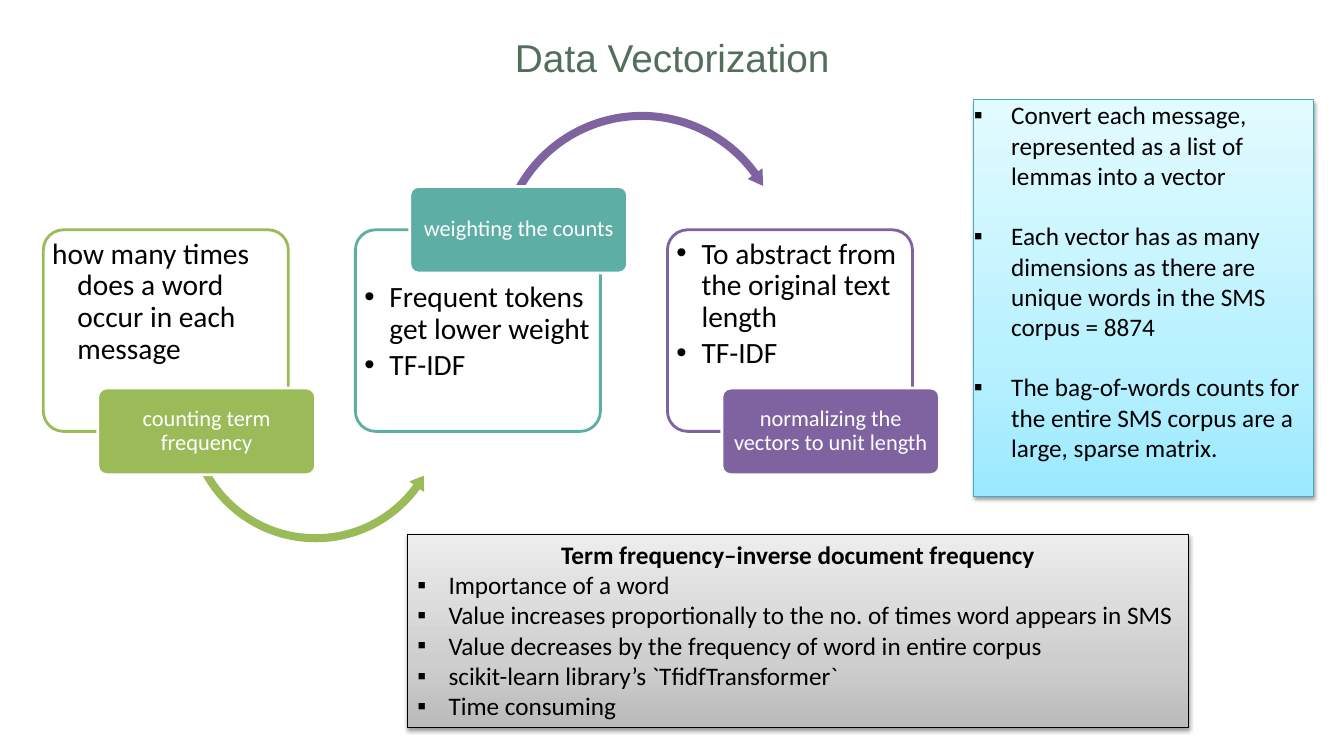
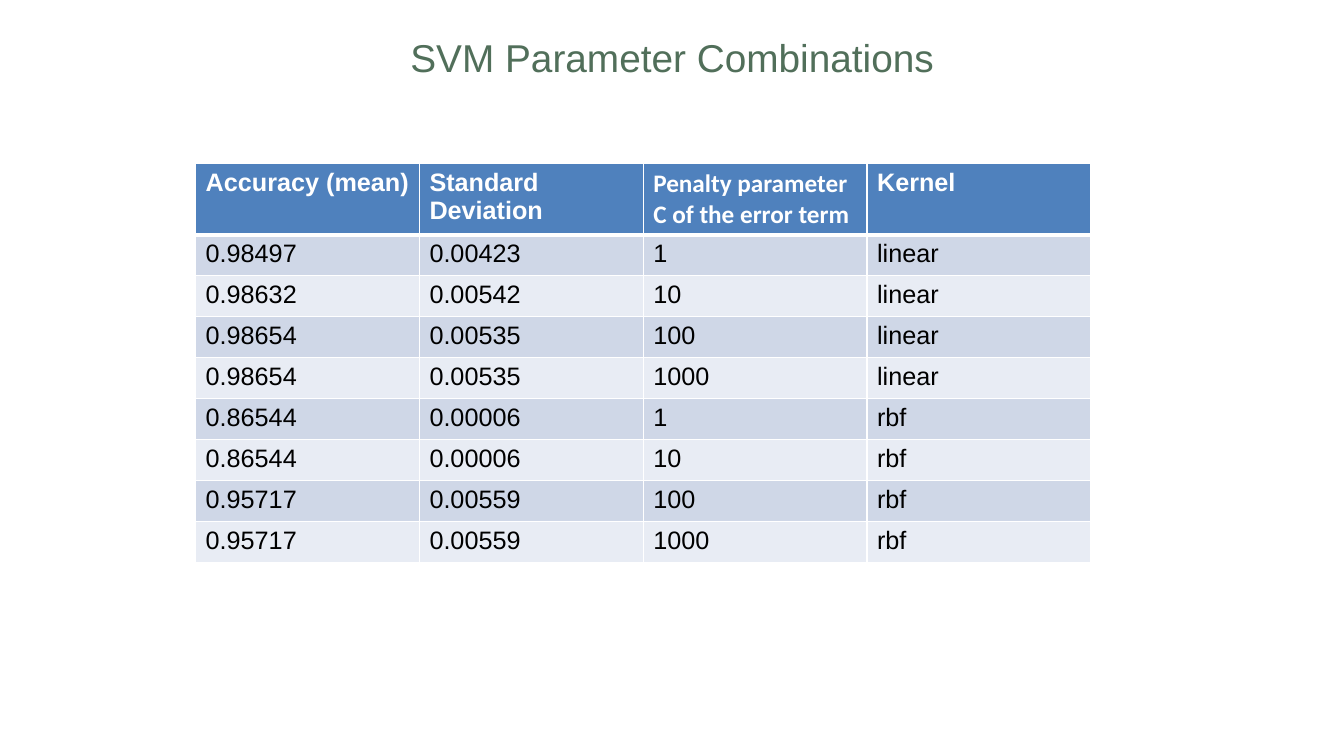
from dataclasses import dataclass
from math import atan, cos, hypot, radians, sin, tan

from pptx import Presentation
from pptx import oxml, util as u
from pptx.dml.color import RGBColor
from pptx.enum import shapes, text
from pptx.oxml import ns

Inches, Pt = u.Inches, u.Pt


@dataclass(frozen=True)
class Theme:
    heading_font: str = "Arial"
    body_font: str = "Calibri"
    title_size: float = 27.7
    panel_size: float = 21
    body_size: float = 18
    tag_size: float = 16
    title: str = "516F5A"
    ink: str = "000000"
    paper: str = "FFFFFF"
    green: str = "9BBB59"
    teal: str = "5DAEA5"
    purple: str = "7F63A1"
    blue_edge: str = "45A9C4"
    blue_stops: tuple = ((0, "9BE9FF"), (35, "B8F1FF"), (100, "E2FBFF"))
    gray_stops: tuple = ((0, "BABABA"), (35, "CFCFCF"), (100, "EDEDED"))
    header: str = "4F81BD"
    bands: tuple = ("CFD7E7", "E8ECF4")


THEME = Theme()
TITLE_BOX = (3.38, 0.33, 6.58, 0.47)


def rgb(color):
    return RGBColor.from_string(color)


def xml(markup):
    head, tail = markup.split(" ", 1)
    return oxml.parse_xml(f"{head} {ns.nsdecls('a')} {tail}")


# Shared text and shape formatting
def write_text(frame, lines, size, font=THEME.body_font, color=THEME.ink,
               bold=False, align=text.PP_ALIGN.LEFT, anchor=text.MSO_ANCHOR.TOP,
               insets=(0, 0, 0, 0), bullet=None, hang=0, line=1, gap=0, more=False):
    """Fill a text frame; with more=True the lines follow the ones already there."""
    frame.word_wrap = True
    frame.auto_size = text.MSO_AUTO_SIZE.NONE
    frame.vertical_anchor = anchor
    (frame.margin_left, frame.margin_top,
     frame.margin_right, frame.margin_bottom) = map(Inches, insets)
    for index, content in enumerate(lines):
        first = index == 0 and not more
        paragraph = frame.paragraphs[0] if first else frame.add_paragraph()
        paragraph.alignment = align
        paragraph.line_spacing = line
        paragraph.space_before = Pt(gap if index else 0)
        run = paragraph.add_run()
        run.text = content
        run.font.size, run.font.name, run.font.bold = Pt(size), font, bold
        run.font.color.rgb = rgb(color)
        properties = paragraph._p.get_or_add_pPr()
        if hang:
            properties.set("marL", str(Inches(hang)))
            properties.set("indent", str(-Inches(hang)))
        if bullet:
            properties.append(xml('<a:buFont typeface="Arial"/>'))
            properties.append(xml(f'<a:buChar char="{bullet}"/>'))


def paint(shape, fill, edge=None, width=0):
    shape.shadow.inherit = False
    shape.fill.solid()
    shape.fill.fore_color.rgb = rgb(fill)
    if edge:
        shape.line.color.rgb = rgb(edge)
        shape.line.width = Pt(width)
    else:
        shape.line.fill.background()


def add_box(slide, box, kind, fill, edge, width):
    shape = slide.shapes.add_shape(kind, *map(Inches, box))
    paint(shape, fill, edge, width)
    if kind == shapes.MSO_SHAPE.ROUNDED_RECTANGLE:
        shape.adjustments[0] = 0.1
    return shape


def add_note(slide, box, stops, edge):
    """A gradient box with a soft shadow."""
    note = add_box(slide, box, shapes.MSO_SHAPE.RECTANGLE, THEME.paper, edge, 0.75)
    note.fill.gradient()
    note.fill.gradient_angle = 90
    properties = note._element.spPr
    stop_list = properties.find(".//" + ns.qn("a:gsLst"))
    for stop in list(stop_list):
        stop_list.remove(stop)
    for place, color in stops:
        stop_list.append(xml(f'<a:gs pos="{place * 1000}"><a:srgbClr val="{color}"/></a:gs>'))
    properties.find(ns.qn("a:effectLst")).append(xml(
        f'<a:outerShdw blurRad="{Pt(3.1)}" dist="{Pt(1.6)}" dir="5400000" rotWithShape="0">'
        f'<a:srgbClr val="{THEME.ink}"><a:alpha val="38000"/></a:srgbClr></a:outerShdw>'))
    return note.text_frame


def add_titled_slide(deck, title):
    slide = deck.slides.add_slide(deck.slide_layouts.get_by_name("Title Only"))
    heading = slide.shapes.title
    heading.left, heading.top, heading.width, heading.height = map(Inches, TITLE_BOX)
    write_text(heading.text_frame, [title], THEME.title_size, THEME.heading_font,
               THEME.title, align=text.PP_ALIGN.CENTER)
    return slide


# Process diagram
def add_curved_arrow(slide, center, radius, side, color):
    """Arc from left to right; side is 1 below the center and -1 above it."""
    start, neck, tip, band, barb = 151, 36, 30, 0.04, 0.09
    reach = radius + 0.1
    left, top = center[0] - reach, center[1] - reach
    right, bottom = center[0] + reach, center[1] + reach

    # The outline starts as its square frame, then gets lines and Bezier arcs
    builder = slide.shapes.build_freeform(Inches(left), Inches(top))
    builder.add_line_segments([(Inches(x), Inches(y)) for x, y in
                               ((right, top), (right, bottom), (left, bottom))])
    arrow = builder.convert_to_shape()
    outline = arrow._element.spPr.find(".//" + ns.qn("a:path"))
    for segment in list(outline):
        outline.remove(segment)

    def draw(command, *points):
        marks = ""
        for angle, distance in points:
            x = Inches(reach + distance * cos(radians(angle)))
            y = Inches(reach + side * distance * sin(radians(angle)))
            marks += f'<a:pt x="{x}" y="{y}"/>'
        outline.append(xml(f"<a:{command} >{marks}</a:{command}>"))

    def draw_arc(begin, end, distance):
        half = (end - begin) / 2
        pull = 4 / 3 * tan(radians(half) / 4)
        swing, far = atan(pull) * 180 / radians(180), distance * hypot(1, pull)
        for angle in (begin, begin + half):
            draw("cubicBezTo", (angle + swing, far), (angle + half - swing, far),
                 (angle + half, distance))

    draw("moveTo", (start, radius + band))
    draw("lnTo", (start, radius - band))
    draw_arc(start, neck, radius - band)
    for corner in ((neck, radius - barb), (tip, radius),
                   (neck, radius + barb), (neck, radius + band)):
        draw("lnTo", corner)
    draw_arc(neck, start, radius + band)
    draw("close")
    paint(arrow, color)


def add_stage(slide, box, stage):
    left, top, width, height = box
    rounded = shapes.MSO_SHAPE.ROUNDED_RECTANGLE
    panel = add_box(slide, box, rounded, THEME.paper, stage["color"], 2)
    write_text(panel.text_frame, stage["details"], THEME.panel_size,
               insets=(0.03, 0.46 if stage["tag_on_top"] else 0.03, 0.02, 0.02),
               bullet=stage["bullet"], hang=0.25, line=0.9, gap=3.1)
    if "arrow" in stage:
        x, y, radius, color = stage["arrow"]
        side = -1 if stage["tag_on_top"] else 1
        add_curved_arrow(slide, (left + x, top + y), radius, side, color)
    tag_top = top - 0.43 if stage["tag_on_top"] else top + height - 0.43
    tag = add_box(slide, (left + 0.54, tag_top, 2.16, 0.86), rounded,
                  stage["color"], THEME.paper, 2)
    write_text(tag.text_frame, [stage["name"]], THEME.tag_size, color=THEME.paper,
               align=text.PP_ALIGN.CENTER, anchor=text.MSO_ANCHOR.MIDDLE,
               insets=(0.03, 0.02, 0.03, 0.02), line=0.9)


def add_process(slide, box, stages):
    left, top, width, height = box
    panel_width = 2.43
    step = (width - panel_width) / (len(stages) - 1)
    for index, stage in enumerate(stages):
        add_stage(slide, (left + index * step, top, panel_width, height), stage)


def add_vector_notes(slide, box, points):
    frame = add_note(slide, box, THEME.blue_stops, THEME.blue_edge)
    write_text(frame, points, THEME.body_size, bullet="▪", hang=0.37, gap=21.5)


def add_definition(slide, box, term, points):
    frame = add_note(slide, box, THEME.gray_stops, THEME.ink)
    insets = (0.1, 0.05, 0.1, 0.05)
    write_text(frame, [term], THEME.body_size, bold=True,
               align=text.PP_ALIGN.CENTER, insets=insets)
    write_text(frame, points, THEME.body_size, bullet="▪", hang=0.31,
               insets=insets, more=True)


# Results table
def set_borders(cell, bottom):
    properties = cell._tc.get_or_add_tcPr()
    for index, (edge, width) in enumerate(zip("LRTB", (1, 1, 1, bottom))):
        properties.insert(index, xml(
            f'<a:ln{edge} w="{Pt(width)}"><a:solidFill>'
            f'<a:srgbClr val="{THEME.paper}"/></a:solidFill></a:ln{edge}>'))


def add_results(slide, box, headings, results):
    header_height = 0.7
    rows = [headings, *results]
    table = slide.shapes.add_table(len(rows), len(headings), *map(Inches, box)).table
    for number, values in enumerate(rows):
        is_header = number == 0
        table.rows[number].height = Inches(
            header_height if is_header else (box[3] - header_height) / len(results))
        for column, value in enumerate(values):
            cell = table.cell(number, column)
            cell.fill.solid()
            cell.fill.fore_color.rgb = rgb(
                THEME.header if is_header else THEME.bands[(number - 1) % 2])
            set_borders(cell, 3 if is_header else 1)
            cell.margin_left = cell.margin_right = Inches(0.1)
            cell.margin_top = cell.margin_bottom = Inches(0.05)
            run = cell.text_frame.paragraphs[0].add_run()
            run.text = value
            run.font.size, run.font.bold = Pt(THEME.body_size), is_header
            run.font.name = (THEME.body_font if value.startswith("Penalty")
                             else THEME.heading_font)
            run.font.color.rgb = rgb(THEME.paper if is_header else THEME.ink)


# Slides
def vectorization_slide(deck):
    slide = add_titled_slide(deck, "Data Vectorization")
    add_vector_notes(slide, (9.66, 0.99, 3.37, 3.94), [
        "Convert each message, represented as a list of lemmas into a vector",
        "Each vector has as many dimensions as there are unique words in the SMS corpus = 8874",
        "The bag-of-words counts for the entire SMS corpus are a large, sparse matrix.",
    ])
    add_process(slide, (0.43, 2.28, 8.62, 2), [
        dict(name="counting term frequency", color=THEME.green, tag_on_top=False,
             bullet=None, arrow=(2.7, 1.82, 1.24, THEME.green),
             details=["how many times does a word occur in each message"]),
        dict(name="weighting the counts", color=THEME.teal, tag_on_top=True,
             bullet="•", arrow=(2.84, 0.26, 1.39, THEME.purple),
             details=["Frequent tokens get lower weight", "TF-IDF"]),
        dict(name="normalizing the vectors to unit length", color=THEME.purple,
             tag_on_top=False, bullet="•",
             details=["To abstract from the original text length", "TF-IDF"]),
    ])
    add_definition(slide, (4.04, 5.3, 7.75, 1.92),
                   "Term frequency–inverse document frequency", [
        "Importance of a word",
        "Value increases proportionally to the no. of times word appears in SMS",
        "Value decreases by the frequency of word in entire corpus",
        "scikit-learn library’s `TfidfTransformer`",
        "Time consuming",
    ])


def parameters_slide(deck):
    slide = add_titled_slide(deck, "SVM Parameter Combinations")
    add_results(slide, (1.94, 1.62, 8.88, 3.95),
                ["Accuracy (mean)", "Standard Deviation",
                 "Penalty parameter C of the error term", "Kernel"],
                [("0.98497", "0.00423", "1", "linear"),
                 ("0.98632", "0.00542", "10", "linear"),
                 ("0.98654", "0.00535", "100", "linear"),
                 ("0.98654", "0.00535", "1000", "linear"),
                 ("0.86544", "0.00006", "1", "rbf"),
                 ("0.86544", "0.00006", "10", "rbf"),
                 ("0.95717", "0.00559", "100", "rbf"),
                 ("0.95717", "0.00559", "1000", "rbf")])


deck = Presentation()
deck.slide_width, deck.slide_height = Inches(13.33), Inches(7.5)
vectorization_slide(deck)
parameters_slide(deck)
deck.save("out.pptx")
